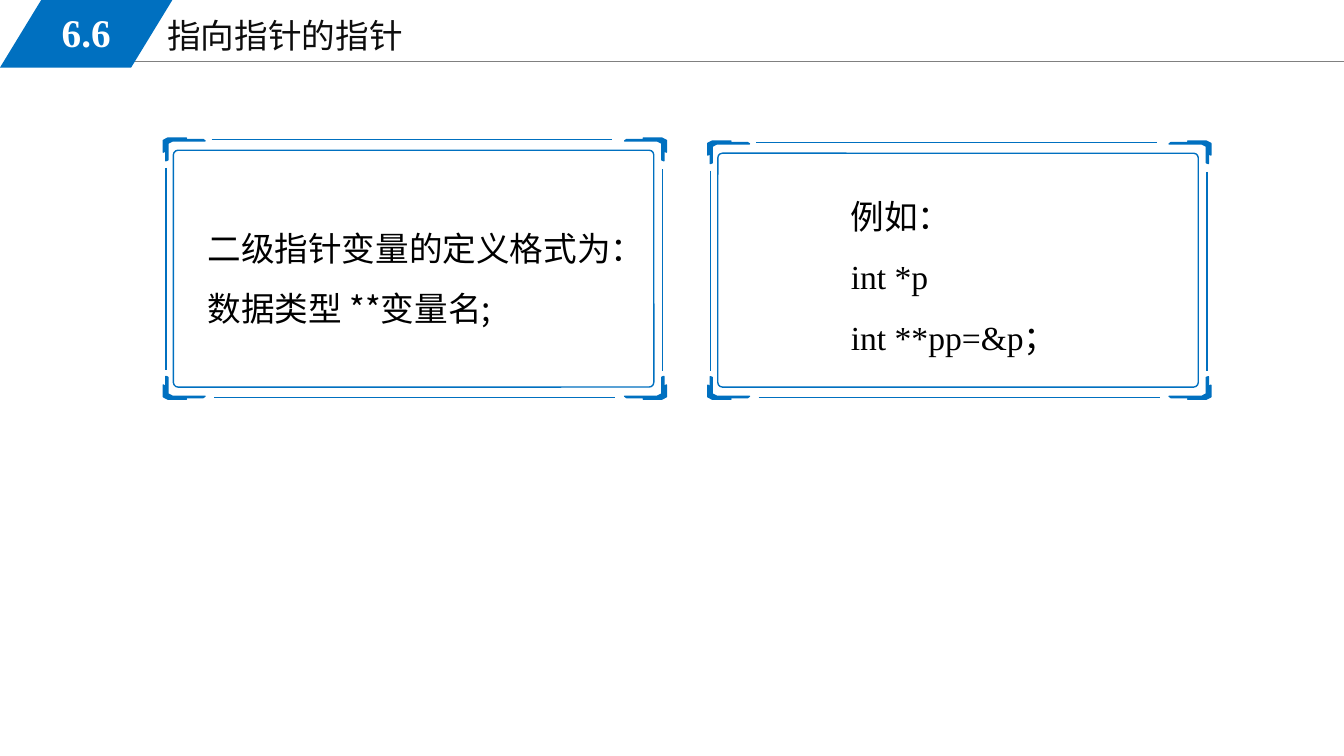
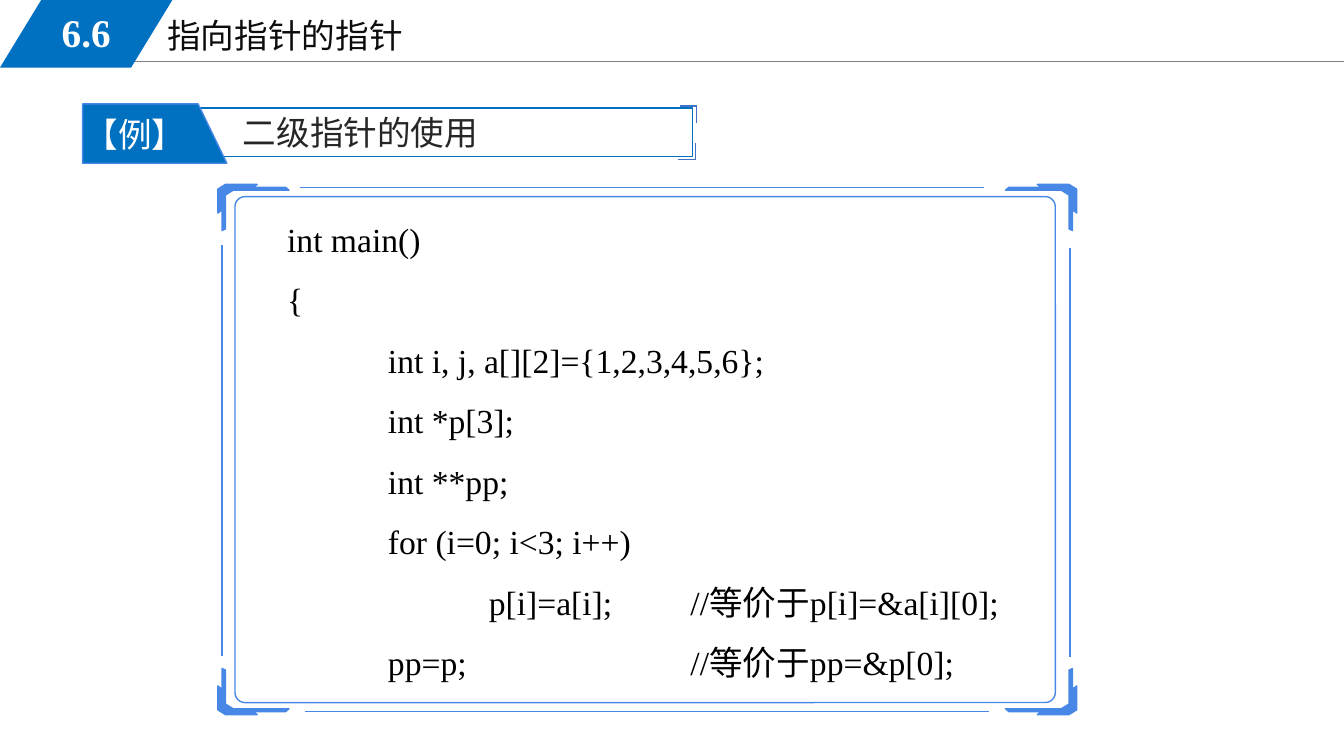
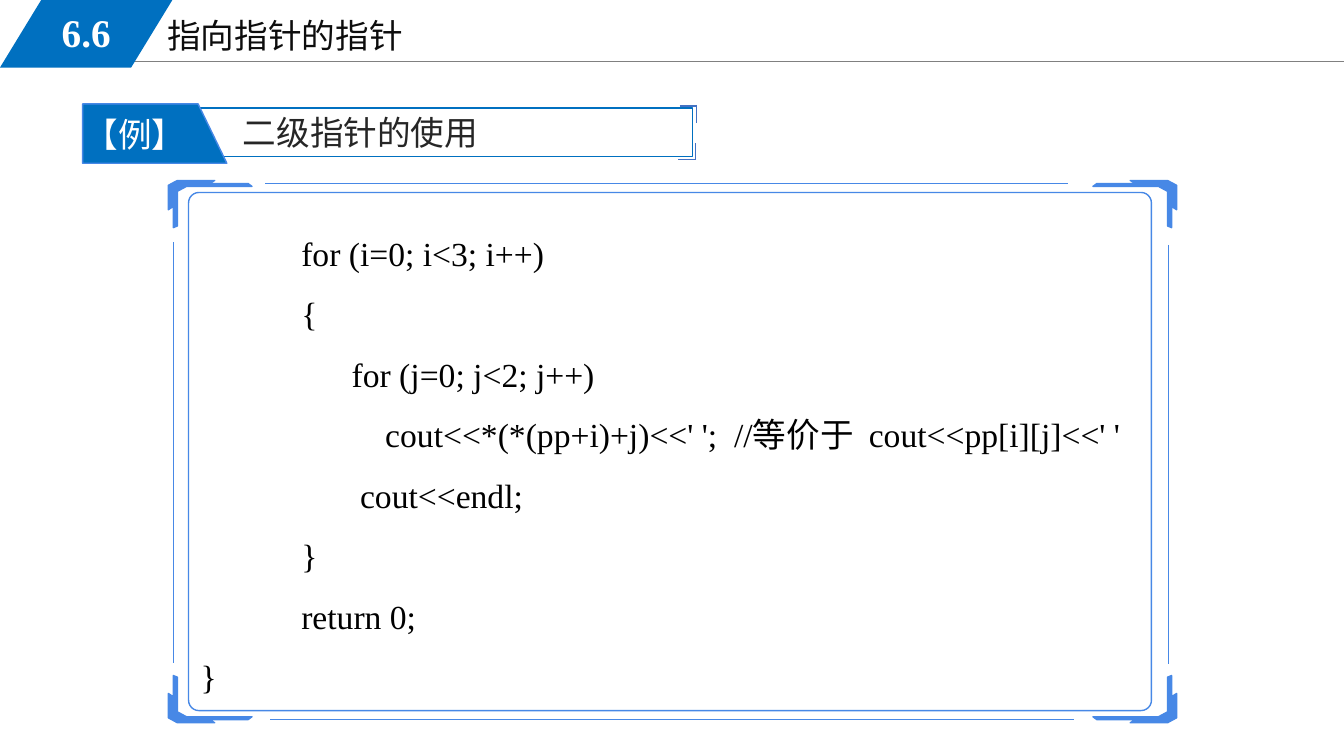
"""Build three slides on pointers to pointers."""
from lxml import etree
from pptx import Presentation
from pptx.dml.color import RGBColor
from pptx.enum.shapes import MSO_CONNECTOR, MSO_SHAPE
from pptx.enum.text import MSO_ANCHOR, MSO_AUTO_SIZE, PP_ALIGN
from pptx.oxml.ns import qn
from pptx.util import Inches, Pt

STRAIGHT = MSO_CONNECTOR.STRAIGHT
RECTANGLE = MSO_SHAPE.RECTANGLE
ROUNDED = MSO_SHAPE.ROUNDED_RECTANGLE
PARALLELOGRAM = MSO_SHAPE.PARALLELOGRAM
MANUAL_INPUT = MSO_SHAPE.FLOWCHART_MANUAL_INPUT
TOP, MIDDLE = MSO_ANCHOR.TOP, MSO_ANCHOR.MIDDLE
GROW = MSO_AUTO_SIZE.SHAPE_TO_FIT_TEXT
FIXED = MSO_AUTO_SIZE.NONE
LEFT, CENTER = PP_ALIGN.LEFT, PP_ALIGN.CENTER

BLUE = RGBColor(0x00, 0x70, 0xC0)
LIGHT_BLUE = RGBColor(0x47, 0x88, 0xE6)
BRACKET_BLUE = RGBColor(0x44, 0x72, 0xC4)
GREY = RGBColor(0x80, 0x80, 0x80)
WHITE = RGBColor(0xFF, 0xFF, 0xFF)
BLACK = RGBColor(0x00, 0x00, 0x00)
TITLE_INK = RGBColor(0x0D, 0x0D, 0x0D)
LABEL_INK = RGBColor(0x26, 0x26, 0x26)
SERIF = "Times New Roman"
SANS = "Noto Sans CJK SC"


def write_text(box, lines, color, fonts=(SERIF, SERIF), size=24, bold=False,
               align=LEFT, anchor=TOP, spacing=1.0, fit=GROW):
    """Fill a box; fonts holds the font of the first line and of the rest."""
    frame = box.text_frame
    frame.word_wrap = True
    frame.auto_size = fit
    frame.vertical_anchor = anchor
    for index, line in enumerate(lines):
        para = frame.add_paragraph() if index else frame.paragraphs[0]
        para.text = line
        para.alignment = align
        para.line_spacing = spacing
        properties = para._p.find(qn("a:pPr"))
        if "\t" in line:
            tabs = etree.SubElement(properties, qn("a:tabLst"))
            for stop in range(1, 5):
                etree.SubElement(tabs, qn("a:tab"), pos=str(Inches(stop)), algn="l")
        para.font.size = Pt(size)
        para.font.bold = bold
        para.font.color.rgb = color
        para.font.name = fonts[min(index, 1)]
        style = properties.find(qn("a:defRPr"))
        etree.SubElement(style, qn("a:ea")).set("typeface", SANS)


def draw_line(page, start, end, color, width=1):
    """Draw a straight line between two points given in inches."""
    line = page.shapes.add_connector(STRAIGHT, *map(Inches, (*start, *end)))
    line.line.color.rgb = color
    line.line.width = Pt(width)
    etree.SubElement(line.element.spPr, qn("a:effectLst"))
    return line


deck = Presentation()
deck.slide_width = Inches(13.33)
deck.slide_height = Inches(7.5)

layout = deck.slide_layouts.get_by_name("Title Only")
for holder in list(layout.placeholders):
    if holder.placeholder_format.idx:
        holder.element.getparent().remove(holder.element)
    else:
        holder.left, holder.top = Inches(1.56), Inches(0.1)
        holder.width, holder.height = Inches(5.67), Inches(0.51)

pages = [deck.slides.add_slide(layout) for _ in range(3)]
for page in pages:
    write_text(page.shapes.title, ["指向指针的指针"], TITLE_INK, fit=FIXED)

header_rule = draw_line(pages[0], (1.13, 0.61), (13.33, 0.61), GREY, 0.75)
section_tab = pages[0].shapes.add_shape(PARALLELOGRAM, 0, 0, Inches(1.71), Inches(0.67))
section_tab.adjustments[0] = 0.61
section_tab.shadow.inherit = False
section_tab.fill.solid()
section_tab.fill.fore_color.rgb = BLUE
section_tab.line.fill.background()
section_number = pages[0].shapes.add_textbox(*map(Inches, (0.25, 0.03, 1.21, 0.58)))
write_text(section_number, ["6.6"], WHITE, size=28, bold=True, align=CENTER, anchor=MIDDLE)
for part in (header_rule, section_tab, section_number):
    layout.shapes.element.append(part.element)

BRACKET_LINES = [
    ((6.74, 1.05), (6.91, 1.05)),
    ((6.91, 1.04), (6.91, 1.22)),
    ((6.9, 1.42), (6.9, 1.59)),
    ((6.9, 1.58), (6.72, 1.58)),
]
for page in pages[1:]:
    banner = page.shapes.add_shape(RECTANGLE, *map(Inches, (0.82, 1.07, 6.05, 0.48)))
    banner.shadow.inherit = False
    banner.fill.background()
    banner.line.color.rgb = BLUE
    banner.line.width = Pt(1)
    example_tab = page.shapes.add_shape(MANUAL_INPUT, *map(Inches, (1.24, 0.61, 0.59, 1.43)))
    example_tab.rotation = 90
    example_tab.shadow.inherit = False
    example_tab.fill.solid()
    example_tab.fill.fore_color.rgb = BLUE
    example_tab.line.color.rgb = LIGHT_BLUE
    example_tab.line.width = Pt(1)
    label = page.shapes.add_textbox(*map(Inches, (0.74, 1.08, 1.3, 0.5)))
    write_text(label, ["【例】"], WHITE)
    topic = page.shapes.add_textbox(*map(Inches, (2.31, 1.06, 4.45, 0.5)))
    write_text(topic, ["二级指针的使用"], LABEL_INK)
    for start, end in BRACKET_LINES:
        draw_line(page, start, end, BRACKET_BLUE)

DEFINITION = ["二级指针变量的定义格式为：", "数据类型 **变量名;"]
SAMPLE = ["例如：", "int *p", "int **pp=&p；"]
CODE_START = [
    "int main()",
    "{",
    "\tint i, j, a[][2]={1,2,3,4,5,6};",
    "\tint *p[3];",
    "\tint **pp;",
    "\tfor (i=0; i<3; i++)",
    "\t\tp[i]=a[i];\t//等价于p[i]=&a[i][0];",
    "\tpp=p;\t\t\t//等价于pp=&p[0];",
]
CODE_END = [
    "\tfor (i=0; i<3; i++)",
    "\t{",
    "\t      for (j=0; j<2; j++)",
    "\t          cout<<*(*(pp+i)+j)<<' ';  //等价于  cout<<pp[i][j]<<' '",
    "\t       cout<<endl;",
    "\t}",
    "\treturn 0;",
    "}",
]
PANELS = [
    (pages[0], (1.62, 1.37, 4.99, 2.59), BLUE, (1.96, 2.01, 4.37, 1.31), (SANS, SANS), DEFINITION),
    (pages[0], (7.02, 1.4, 4.99, 2.56), BLUE, (8.34, 1.69, 3.03, 1.92), (SANS, SERIF), SAMPLE),
    (pages[1], (2.16, 1.83, 8.52, 5.26), LIGHT_BLUE, (2.75, 1.92, 7.76, 4.95), (SERIF, SERIF), CODE_START),
    (pages[2], (1.67, 1.79, 10, 5.38), LIGHT_BLUE, (1.89, 2.06, 9.72, 4.95), (SERIF, SERIF), CODE_END),
]
CORNER_PERCENT = [
    (0.9, 0), (4.6, 0), (4.1, 0.56), (7.9, 0.56), (8.3, 1.1), (1.8, 1.1), (0.9, 2),
    (0.9, 8.4), (0.5, 8.7), (0.5, 4.8), (0, 5.4), (0, 0.9),
]
EDGE_PERCENT = [
    ((9.6, 0.56), (89.2, 0.56)),
    ((10.1, 99.44), (89.8, 99.44)),
    ((0.5, 11.4), (0.5, 88.9)),
    ((99.2, 11.9), (99.2, 89.2)),
]
INNER_LEFT_PERCENT, INNER_WIDTH_PERCENT = 2, 95.5
INNER_GAP = 0.12

for page, (left, top, width, height), color, text_area, fonts, lines in PANELS:
    box = page.shapes.add_textbox(*map(Inches, text_area))
    write_text(box, lines, BLACK, fonts, spacing=1.5)
    inner = page.shapes.add_shape(
        ROUNDED, Inches(left + INNER_LEFT_PERCENT / 100 * width), Inches(top + INNER_GAP),
        Inches(INNER_WIDTH_PERCENT / 100 * width), Inches(height - 2 * INNER_GAP))
    inner.adjustments[0] = 0.02
    inner.shadow.inherit = False
    inner.fill.background()
    inner.line.color.rgb = color
    inner.line.width = Pt(1)
    for corner_x, turn_x in ((left, 1), (left + width, -1)):
        for corner_y, turn_y in ((top, 1), (top + height, -1)):
            points = [(Inches(corner_x + turn_x * x / 100 * width),
                       Inches(corner_y + turn_y * y / 100 * height))
                      for x, y in CORNER_PERCENT]
            builder = page.shapes.build_freeform(*points[0])
            builder.add_line_segments(points[1:], close=True)
            corner = builder.convert_to_shape()
            corner.shadow.inherit = False
            corner.fill.solid()
            corner.fill.fore_color.rgb = color
            corner.line.color.rgb = color
            corner.line.width = Pt(1)
    for edge in EDGE_PERCENT:
        start, end = [(left + x / 100 * width, top + y / 100 * height) for x, y in edge]
        draw_line(page, start, end, color)

deck.save("out.pptx")
